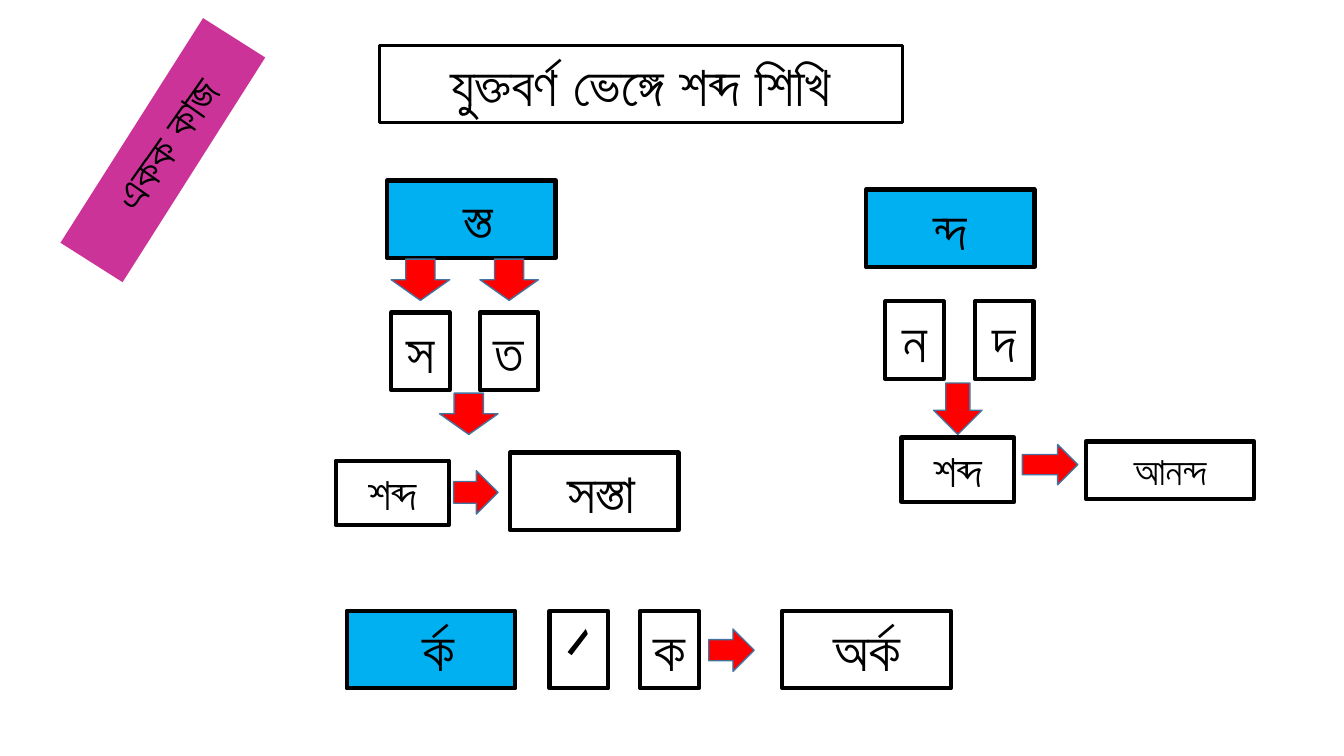
from pptx import Presentation
from pptx.dml.color import RGBColor
from pptx.enum.shapes import MSO_SHAPE as Preset
from pptx.enum.text import MSO_ANCHOR as Anchor, PP_ALIGN as Align
from pptx.util import Inches, Pt

BLACK, BLUE, RED, PINK, ARROW_EDGE = "000000", "00B0F0", "FF0000", "CC3399", "43739E"
LETTER_WIDTH, WORD_WIDTH, BOX_HEIGHT = 0.58, 1.67, 0.77


def color(value):
    return RGBColor.from_string(value)


class Board:
    font_name = "Calibri"

    def __init__(self, slide):
        self.slide = slide
        self.shapes = slide.shapes

    def paint(self, shape, fill=None, line=None, weight=1):
        shape.shadow.inherit = False
        if fill:
            shape.fill.solid()
            shape.fill.fore_color.rgb = color(fill)
        else:
            shape.fill.background()
        if line:
            shape.line.color.rgb = color(line)
            shape.line.width = Pt(weight)
        else:
            shape.line.fill.background()

    def set_text(self, shape, text, size, bold=False):
        frame = shape.text_frame
        frame.word_wrap = True
        frame.vertical_anchor = Anchor.TOP
        paragraph = frame.paragraphs[0]
        paragraph.text = text
        paragraph.alignment = Align.CENTER
        font = paragraph.font
        font.name, font.size, font.bold = self.font_name, Pt(size), bold
        font.color.rgb = color(BLACK)

    def preset(self, kind, left, top, width, height):
        return self.shapes.add_shape(
            kind, Inches(left), Inches(top), Inches(width), Inches(height))

    def box(self, left, top, width, text="", height=BOX_HEIGHT, size=40,
            fill=None, weight=3, bold=False):
        shape = self.preset(Preset.RECTANGLE, left, top, width, height)
        self.paint(shape, fill, BLACK, weight)
        if text:
            self.set_text(shape, text, size, bold)

    def arrow(self, kind, left, top, width, height):
        self.paint(self.preset(kind, left, top, width, height), RED, ARROW_EDGE)

    def banner(self, text):
        strip = self.preset(Preset.RECTANGLE, 1.25, 0.17, 0.73, 2.64)
        strip.rotation = 32.4
        self.paint(strip, PINK)
        label = self.shapes.add_textbox(
            Inches(0.22), Inches(1.1), Inches(2.85), Inches(0.64))
        label.rotation = 305.1
        self.set_text(label, text, 32, bold=True)

    def stroke(self, points):
        start, *rest = [(Inches(x), Inches(y)) for x, y in points]
        builder = self.shapes.build_freeform(*start)
        builder.add_line_segments(rest, close=True)
        self.paint(builder.convert_to_shape(), BLACK)


def main():
    presentation = Presentation()
    presentation.slide_width, presentation.slide_height = Inches(13.33), Inches(7.5)
    board = Board(presentation.slides.add_slide(presentation.slide_layouts[6]))

    # Title and task banner
    board.box(3.76, 0.45, 5.19, "যুক্তবর্ণ ভেঙ্গে শব্দ শিখি", weight=2.25, bold=True)
    board.banner("একক কাজ")

    # Conjunct boxes
    for left, top, text in [(3.84, 1.79, " স্ত"), (8.59, 1.88, "ন্দ"), (3.44, 6.06, " র্ক")]:
        board.box(left, top, WORD_WIDTH, text, fill=BLUE)

    # Single letters; the last one holds a drawn reph stroke
    for left, top, text in [(3.88, 3.1, "স"), (4.76, 3.1, "ত"), (8.78, 2.99, "ন"),
                            (9.67, 2.99, "দ"), (6.35, 6.06, "ক"), (5.45, 6.06, "")]:
        board.box(left, top, LETTER_WIDTH, text)
    board.stroke([(5.81, 6.24), (5.83, 6.29), (5.67, 6.5), (5.63, 6.47)])

    # "Word" labels and example words
    for left, top in [(3.33, 4.57), (8.94, 4.34)]:
        board.box(left, top, 1.12, "শব্দ", height=0.64, size=32, bold=True)
    board.box(5.06, 4.49, WORD_WIDTH, " সস্তা")
    board.box(10.77, 4.38, WORD_WIDTH, "আনন্দ", height=0.57, size=28, bold=True)
    board.box(7.76, 6.06, WORD_WIDTH, "অর্ক")

    # Arrows
    for left, top in [(3.88, 2.57), (4.76, 2.57), (4.36, 3.9)]:
        board.arrow(Preset.DOWN_ARROW, left, top, LETTER_WIDTH, 0.41)
    board.arrow(Preset.DOWN_ARROW, 9.26, 3.8, 0.48, 0.51)
    for place in [(4.5, 4.67, 0.44, 0.43), (10.14, 4.41, 0.55, 0.4), (7.03, 6.24, 0.45, 0.42)]:
        board.arrow(Preset.RIGHT_ARROW, *place)

    presentation.save("out.pptx")


if __name__ == "__main__":
    main()
